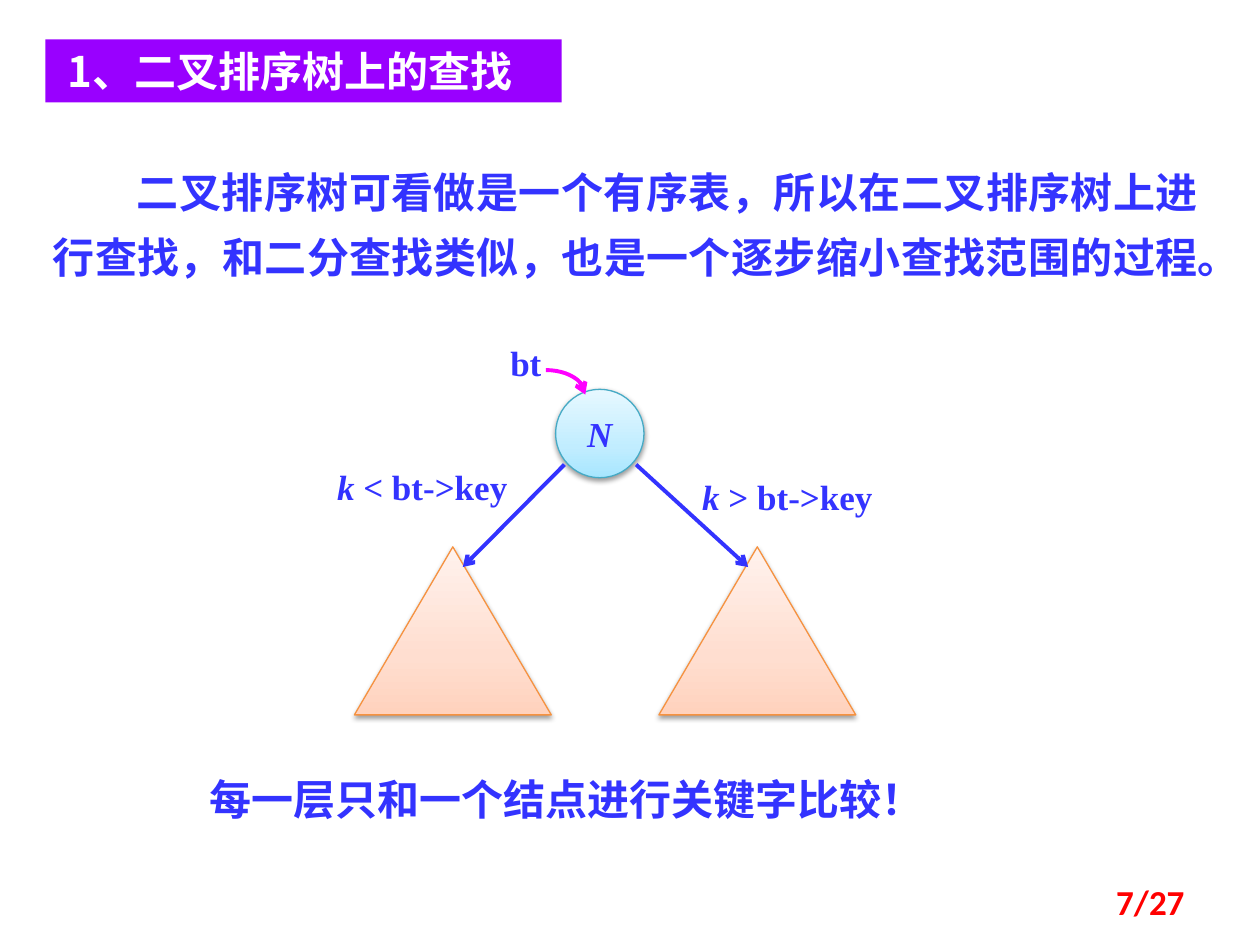
from pptx import Presentation
from pptx.dml.color import RGBColor
from pptx.enum.shapes import MSO_CONNECTOR, MSO_SHAPE
from pptx.enum.text import MSO_ANCHOR, PP_ALIGN
from pptx.oxml import parse_xml
from pptx.oxml.ns import nsdecls, qn
from pptx.util import Pt
from lxml.etree import SubElement

BLUE = "3333FF"
SERIF = "Times New Roman"
CJK = "Noto Sans CJK SC"


def rgb(color):
    return RGBColor.from_string(color)


def write(sp, runs, size, color=BLUE, font=SERIF, align=PP_ALIGN.LEFT,
          anchor=MSO_ANCHOR.TOP, spacing=None, indent=0):
    tf = sp.text_frame
    tf.word_wrap = True
    tf.vertical_anchor = anchor
    p = tf.paragraphs[0]
    p.alignment = align
    if spacing:
        p.line_spacing = spacing
    if indent:
        p._p.get_or_add_pPr().set("indent", str(Pt(indent)))
    for text, italic in runs:
        r = p.add_run()
        r.text = text
        r.font.size = Pt(size)
        r.font.bold = True
        r.font.italic = italic
        r.font.color.rgb = rgb(color)
        r.font.name = font
        SubElement(r._r.rPr, qn("a:ea")).set("typeface", CJK)


def add_text(s, box, runs, size, **style):
    sp = s.shapes.add_textbox(*map(Pt, box))
    write(sp, runs, size, **style)
    return sp


def add_shape(s, kind, box):
    sp = s.shapes.add_shape(kind, *map(Pt, box))
    sp.shadow.inherit = False
    return sp


def add_banner(s, box, text):
    sp = add_shape(s, MSO_SHAPE.RECTANGLE, box)
    sp.fill.solid()
    sp.fill.fore_color.rgb = rgb("9900FF")
    sp.line.fill.background()
    sp.text_frame.margin_left = Pt(12.5)
    write(sp, [(text, False)], 24, color="FFFFFF", font=CJK,
          align=PP_ALIGN.JUSTIFY)


def add_node(s, kind, box, colors, line):
    sp = add_shape(s, kind, box)
    stops = "".join(
        f'<a:gs pos="{pos}000"><a:srgbClr val="{color}"/></a:gs>'
        for pos, color in zip((0, 35, 100), colors))
    sp._element.spPr.insert(2, parse_xml(
        f'<a:gradFill {nsdecls("a")} rotWithShape="1"><a:gsLst>{stops}'
        '</a:gsLst><a:lin ang="16200000" scaled="0"/></a:gradFill>'))
    sp.line.color.rgb = rgb(line)
    sp.line.width = Pt(0.75)
    sp._element.spPr.find(qn("a:effectLst")).append(parse_xml(
        f'<a:outerShdw {nsdecls("a")} blurRad="{Pt(3.1)}" dist="{Pt(1.6)}" '
        'dir="5400000" rotWithShape="0"><a:srgbClr val="000000">'
        '<a:alpha val="38000"/></a:srgbClr></a:outerShdw>'))
    return sp


def style_arrow(sp, color):
    sp.line.color.rgb = rgb(color)
    sp.line.width = Pt(2.25)
    SubElement(sp.line._get_or_add_ln(), qn("a:tailEnd")).set("type", "arrow")


def add_arrow(s, start, end):
    sp = s.shapes.add_connector(
        MSO_CONNECTOR.STRAIGHT, *map(Pt, start + end))
    style_arrow(sp, BLUE)
    SubElement(sp._element.spPr, qn("a:effectLst"))


def add_pointer(s, box):
    sp = add_shape(s, MSO_SHAPE.ARC, box)
    sp.fill.background()
    style_arrow(sp, "FF00FF")


def add_tree(s):
    root = add_node(s, MSO_SHAPE.OVAL, (317.5, 222.5, 50.5, 50.5),
                    ("A7E6FF", "C1EDFF", "E7F8FF"), "46AAC5")
    write(root, [("N", True)], 20, align=PP_ALIGN.CENTER,
          anchor=MSO_ANCHOR.MIDDLE)
    for left, start, end in ((202.5, (322.5, 265.5), (264.5, 324)),
                             (376.5, (363.5, 265.5), (427.5, 324))):
        add_node(s, MSO_SHAPE.ISOSCELES_TRIANGLE, (left, 312.5, 112.5, 96),
                 ("FFD2BD", "FFDED0", "FFF2ED"), "F69240")
        add_arrow(s, start, end)
    add_pointer(s, (289.5, 211.5, 45, 28))
    add_text(s, (278, 191.5, 45, 31.5), [("bt", False)], 20,
             align=PP_ALIGN.CENTER)
    add_text(s, (185.5, 262.5, 112.5, 31.5),
             [("k", True), (" < bt->key", False)], 20)
    add_text(s, (388, 268, 124, 31.5),
             [("k", True), (" > bt->key", False)], 20, align=PP_ALIGN.CENTER)


def main():
    prs = Presentation()
    prs.slide_width, prs.slide_height = Pt(720), Pt(540)
    s = prs.slides.add_slide(prs.slide_layouts[6])
    add_text(s, (23, 83, 669, 83),
             [("二叉排序树可看做是一个有序表，所以在二叉排序树上进行查找，"
               "和二分查找类似，也是一个逐步缩小查找范围的过程。", False)],
             24, align=PP_ALIGN.JUSTIFY, spacing=1.3, indent=48)
    add_banner(s, (26, 22.5, 295, 36), "1、二叉排序树上的查找")
    add_tree(s)
    add_text(s, (112.5, 438.5, 461.5, 36),
             [("每一层只和一个结点进行关键字比较！", False)], 24)
    add_text(s, (516, 500.5, 168, 29), [("7/27", False)], 20, color="FF0000",
             font="Calibri", align=PP_ALIGN.RIGHT, anchor=MSO_ANCHOR.MIDDLE)
    prs.save("out.pptx")


if __name__ == "__main__":
    main()
